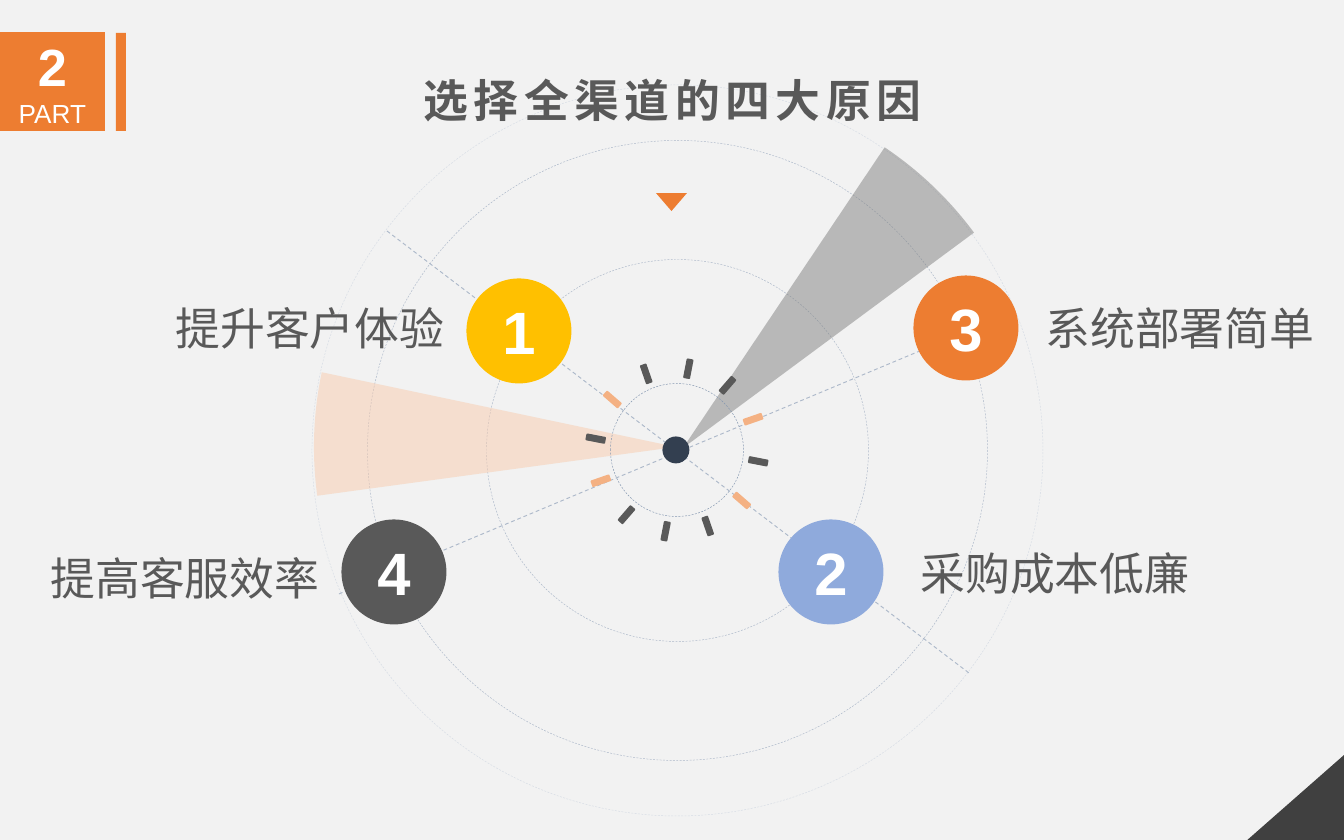
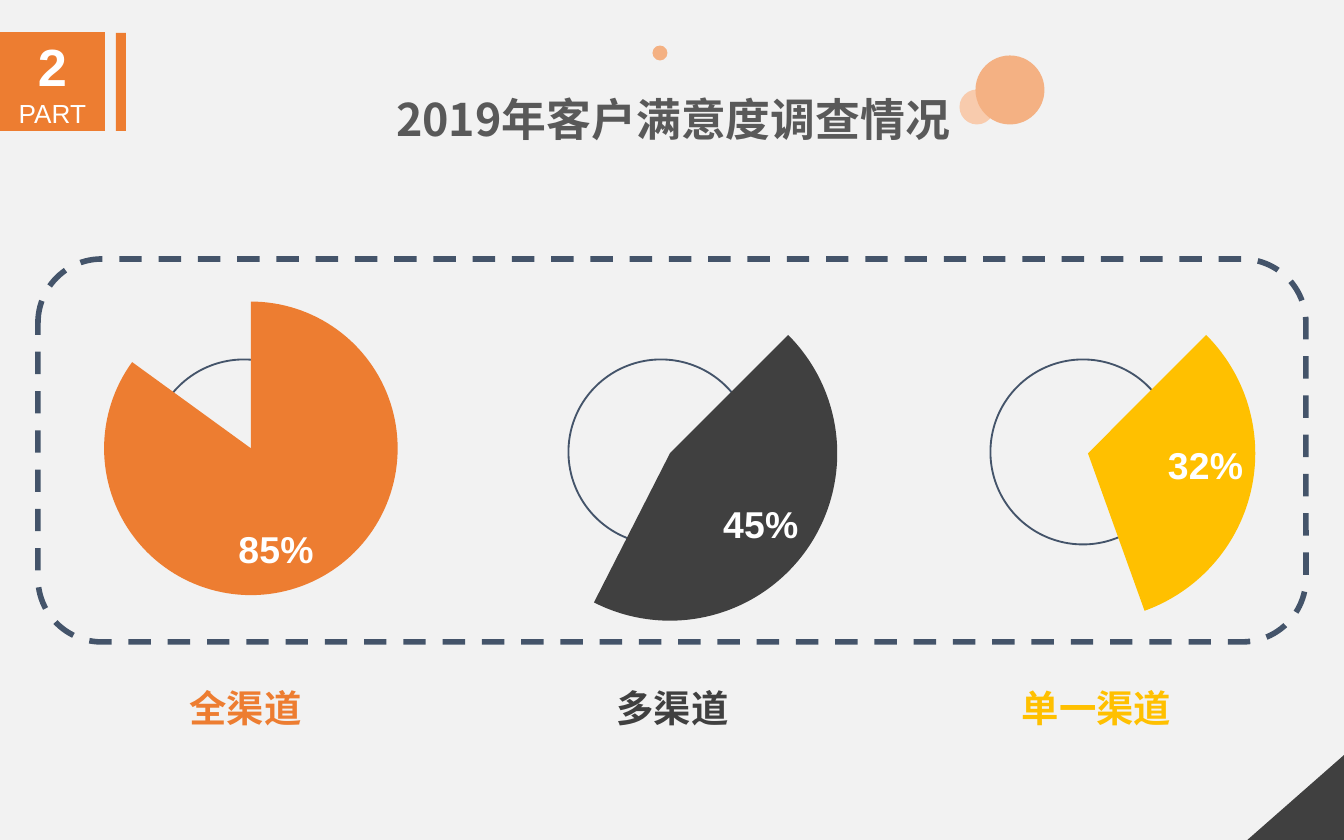
from math import cos, radians, sin

from lxml import etree
from pptx import Presentation
from pptx.chart.data import CategoryChartData
from pptx.dml.color import RGBColor
from pptx.enum.chart import XL_CHART_TYPE, XL_LABEL_POSITION
from pptx.enum.dml import MSO_LINE
from pptx.enum.shapes import MSO_CONNECTOR, MSO_SHAPE
from pptx.enum.text import MSO_ANCHOR, PP_ALIGN
from pptx.oxml.ns import qn
from pptx.util import Emu, Pt

PIE_CHART = XL_CHART_TYPE.PIE
INSIDE_END = XL_LABEL_POSITION.INSIDE_END
DASH = MSO_LINE.DASH
STRAIGHT = MSO_CONNECTOR.STRAIGHT
RECTANGLE = MSO_SHAPE.RECTANGLE
ROUNDED = MSO_SHAPE.ROUNDED_RECTANGLE
OVAL = MSO_SHAPE.OVAL
WEDGE = MSO_SHAPE.PIE
TRIANGLE = MSO_SHAPE.ISOSCELES_TRIANGLE
CORNER = MSO_SHAPE.RIGHT_TRIANGLE
CENTER = PP_ALIGN.CENTER
TOP = MSO_ANCHOR.TOP
MIDDLE = MSO_ANCHOR.MIDDLE

EMU_PER_PX = 914400 / 134.4
LATIN = "Arial"
CHINESE = "Noto Sans CJK SC"
PAPER, WHITE, BLACK = "F2F2F2", "FFFFFF", "000000"
ORANGE, PEACH, PALE_PEACH = "ED7D31", "F4B183", "F8CBAD"
GOLD, BLUE, NAVY, SLATE = "FFC000", "8FAADC", "333F50", "44546A"
CHARCOAL, GREY, MID_GREY = "404040", "595959", "808080"
MIST, HAZE, STEEL = "D6DCE5", "ADB9CA", "8497B0"


def px(length):
    return Emu(round(length * EMU_PER_PX))


def color(code):
    return RGBColor.from_string(code)


def set_line(line, code, width, dashed):
    line.color.rgb = color(code)
    line.width = Pt(width)
    if dashed:
        line.dash_style = DASH


def add_figure(page, kind, box, fill=None, line=None, rotation=0, alpha=None):
    figure = page.shapes.add_shape(kind, *map(px, box))
    figure.shadow.inherit = False
    figure.rotation = rotation
    if fill:
        figure.fill.solid()
        figure.fill.fore_color.rgb = color(fill)
    else:
        figure.fill.background()
    if alpha:
        code = figure._element.spPr.find(qn("a:solidFill"))[0]
        etree.SubElement(code, qn("a:alpha"), val=str(alpha * 1000))
    if line:
        set_line(figure.line, *line)
    else:
        figure.line.fill.background()
    return figure


def add_circle(page, center, diameter, fill=None, line=None):
    x, y = center
    box = (x - diameter / 2, y - diameter / 2, diameter, diameter)
    return add_figure(page, OVAL, box, fill, line)


def write(shape, lines, anchor=MIDDLE, wrap=True, spacing=None):
    frame = shape.text_frame
    frame.word_wrap = wrap
    frame.vertical_anchor = anchor
    for index, (text, size, name, code, bold) in enumerate(lines):
        para = frame.add_paragraph() if index else frame.paragraphs[0]
        para.text = text
        para.alignment = CENTER
        font = para.font
        font.size = Pt(size)
        font.name = name
        font.bold = bold
        font.color.rgb = color(code)
        properties = para._p.pPr.find(qn("a:defRPr"))
        etree.SubElement(properties, qn("a:ea"), typeface=name)
        if spacing:
            properties.set("spc", str(spacing * 100))


def add_label(page, box, text):
    label = page.shapes.add_textbox(*map(px, box))
    write(label, [(text, 24, CHINESE, GREY, False)], TOP, wrap=False)


def add_title(page, box, text, spacing=None):
    title = page.shapes.add_textbox(*map(px, box))
    write(title, [(text, 24, CHINESE, GREY, True)], MIDDLE, spacing=spacing)


def add_page(deck):
    page = deck.slides.add_slide(deck.slide_layouts[6])
    page.background.fill.solid()
    page.background.fill.fore_color.rgb = color(PAPER)
    add_figure(page, RECTANGLE, (116, 33, 10, 98), ORANGE)
    badge = add_figure(page, RECTANGLE, (0, 32, 105, 99), ORANGE)
    write(badge, [("2", 28, LATIN, WHITE, True), ("PART", 14, LATIN, WHITE, False)])
    add_figure(page, CORNER, (1251, 749, 87, 99), CHARCOAL, rotation=270)
    return page


def add_radar(page, box):
    left, top, size = box
    center = (left + size / 2, top + size / 2)
    for diameter, code in ((731, MIST), (620, HAZE), (382, HAZE)):
        add_circle(page, center, diameter, line=(code, 0.25, True))
    wedges = ((2, 0, 281.9, PALE_PEACH), (9, 1, 53.5, MID_GREY))
    for x, y, rotation, code in wedges:
        wedge = add_figure(page, WEDGE, (left + x, top + y, 724, 724), code,
                           rotation=rotation, alpha=50)
        wedge.adjustments[0] = 150.21
        wedge.adjustments[1] = 162
    for start_x, start_y, end_x, end_y in ((27, 509, 701, 227), (75, 146, 657, 588)):
        axis = page.shapes.add_connector(
            STRAIGHT, px(left + start_x), px(top + start_y),
            px(left + end_x), px(top + end_y))
        set_line(axis.line, HAZE, 0.5, True)
        etree.SubElement(axis._element.spPr, qn("a:effectLst"))


def add_hub(page, center):
    x, y = center
    add_circle(page, center, 133, line=(STEEL, 0.25, True))
    add_circle(page, (x - 1, y), 27, NAVY)
    for rotation in range(11, 360, 30):
        angle = radians(rotation - 3)
        tick_x, tick_y = x + 82 * sin(angle), y - 82 * cos(angle)
        code = PEACH if rotation % 180 in (71, 131) else GREY
        add_figure(page, ROUNDED, (tick_x - 3.5, tick_y - 10, 7, 20), code,
                   rotation=rotation)


def add_reason(page, center, number, code, text, label_left, label_top):
    circle = add_circle(page, center, 105, code)
    write(circle, [(number, 32, LATIN, WHITE, True)])
    add_label(page, (label_left, label_top, 298, 67), text)


def build_reasons(deck):
    page = add_page(deck)
    add_radar(page, (312, 85, 731))
    reasons = (
        ((519, 331), "1", GOLD, "提升客户体验", 161, 294),
        ((966, 328), "3", ORANGE, "系统部署简单", 1031, 294),
        ((831, 572), "2", BLUE, "采购成本低廉", 906, 539),
        ((394, 572), "4", GREY, "提高客服效率", 36, 544),
    )
    for reason in reasons:
        add_reason(page, *reason)
    add_hub(page, (677, 450))
    add_title(page, (300, 66, 745, 67), "选择全渠道的四大原因", spacing=3)
    add_figure(page, TRIANGLE, (656, 193, 31, 18), ORANGE, rotation=180)


def set_plot_layout(chart, box, size):
    width, height = box[2:]
    plot = chart._chartSpace.chart.plotArea
    layout = plot.find(qn("c:layout"))
    if layout is None:
        layout = etree.Element(qn("c:layout"))
        plot.insert(0, layout)
    manual = etree.SubElement(layout, qn("c:manualLayout"))
    values = (
        ("layoutTarget", "inner"), ("xMode", "edge"), ("yMode", "edge"),
        ("x", round((1 - size / width) / 2, 2)),
        ("y", round((1 - size / height) / 2, 2)),
        ("w", round(size / width, 2)), ("h", round(size / height, 2)),
    )
    for tag, value in values:
        etree.SubElement(manual, qn(f"c:{tag}"), val=str(value))


def explode_rest(series, percent):
    points = series._element.findall(qn("c:dPt"))
    whole = etree.Element(qn("c:explosion"), val=str(percent))
    points[0].addprevious(whole)
    first = etree.Element(qn("c:explosion"), val="0")
    points[0].find(qn("c:spPr")).addprevious(first)


def add_share_chart(page, box, share, code, start, explosion):
    data = CategoryChartData(number_format="0%")
    data.categories = ["1", "2"]
    data.add_series("Series 1", (share, round(1 - share, 2)))
    chart = page.shapes.add_chart(PIE_CHART, *map(px, box), data).chart
    chart.has_legend = False
    chart.has_title = False
    chart.font.name = LATIN
    chart.font.size = Pt(10)
    chart.font.color.rgb = color(BLACK)
    plot = chart.plots[0]
    plot.vary_by_categories = True
    angle = plot._element.find(qn("c:firstSliceAng"))
    if angle is None:
        angle = etree.SubElement(plot._element, qn("c:firstSliceAng"))
    angle.set("val", str(start))
    series = plot.series[0]
    labels = series.data_labels
    labels.show_value = True
    labels.number_format = "0%"
    labels.number_format_is_linked = False
    labels.position = INSIDE_END
    labels.font.name = LATIN
    labels.font.size = Pt(20)
    labels.font.bold = True
    labels.font.color.rgb = color(WHITE)
    hidden = etree.Element(qn("c:dLbl"))
    etree.SubElement(hidden, qn("c:idx"), val="1")
    etree.SubElement(hidden, qn("c:delete"), val="1")
    labels._element.insert(0, hidden)
    for index in range(2):
        form = series.points[index].format
        form.line.fill.background()
        if index:
            form.fill.background()
        else:
            form.fill.solid()
            form.fill.fore_color.rgb = color(code)
    if explosion:
        explode_rest(series, explosion)
    set_plot_layout(chart, box, 336)


def add_share(page, box, ring_x, caption_x, text, share, code, start, explosion):
    add_circle(page, (ring_x, 452), 185, line=(SLATE, 1, False))
    add_share_chart(page, box, share, code, start, explosion)
    caption = add_figure(page, ROUNDED, (caption_x, 675, 207, 64))
    write(caption, [(text, 20, CHINESE, code, True)], TOP)


def build_survey(deck):
    page = add_page(deck)
    add_circle(page, (977, 107), 35, PALE_PEACH)
    add_title(page, (335, 37, 676, 163), "2019年客户满意度调查情况")
    shares = (
        ((902, 262, 372, 383), 1083, 993, "单一渠道", 0.32, GOLD, 45, 0),
        ((484, 262, 372, 383), 661, 569, "多渠道", 0.45, CHARCOAL, 45, 0),
        ((65, 257, 372, 383), 244, 142, "全渠道", 0.85, ORANGE, 0, 14),
    )
    for share in shares:
        add_share(page, *share)
    add_figure(page, ROUNDED, (38, 259, 1268, 383), line=(SLATE, 3, True))
    add_circle(page, (1010, 90), 69, PEACH)
    add_circle(page, (660, 53), 15, PEACH)


def main():
    deck = Presentation()
    deck.slide_width, deck.slide_height = px(1344), px(840)
    build_reasons(deck)
    build_survey(deck)
    deck.save("out.pptx")


if __name__ == "__main__":
    main()
